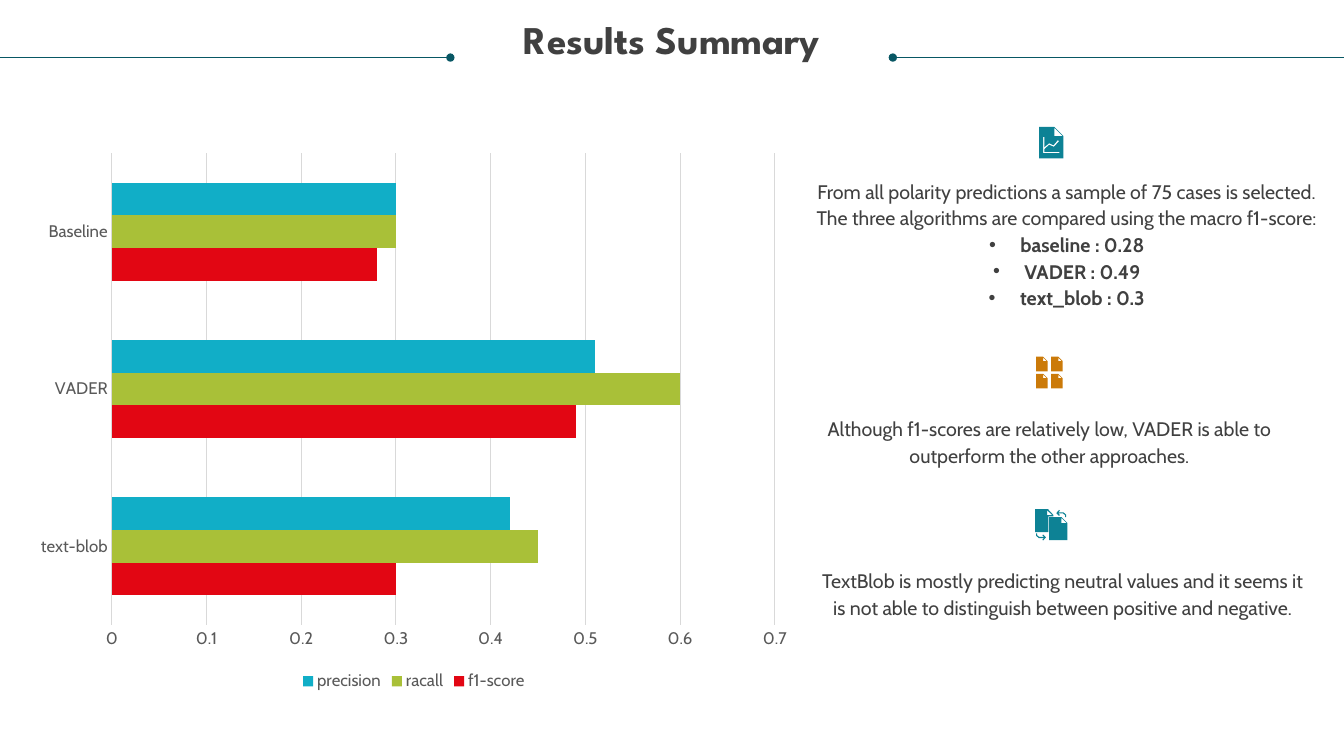
from lxml import etree
from pptx import Presentation
from pptx import util as u
from pptx.chart import data as chart_data
from pptx.dml.color import RGBColor
from pptx.enum import chart as chart_enum
from pptx.enum import shapes, text
from pptx.oxml import ns

TEAL, DARK_TEAL, ORANGE = "0D8295", "085764", "CB7A09"
TEXT_GREY, AXIS_GREY, GRID_GREY = "404040", "595959", "D9D9D9"


def color(hex_string):
    return RGBColor.from_string(hex_string)


def format_text(frame, font_name, size, bold=False):
    frame.word_wrap = True
    frame.auto_size = text.MSO_AUTO_SIZE.NONE
    frame.vertical_anchor = text.MSO_ANCHOR.TOP
    frame.margin_left = frame.margin_right = frame.margin_top = frame.margin_bottom = 0
    for paragraph in frame.paragraphs:
        paragraph.alignment = text.PP_ALIGN.CENTER
        paragraph.line_spacing = 0.9 if bold else u.Pt(19)
        paragraph.space_before = u.Pt(0)
        for run in paragraph.runs:
            run.font.name = font_name
            run.font.size = u.Pt(size)
            run.font.bold = bold
            run.font.color.rgb = color(TEXT_GREY)


presentation = Presentation()
presentation.slide_width = u.Cm(33.87)
presentation.slide_height = u.Cm(19.05)
slide = presentation.slides.add_slide(presentation.slide_layouts[1])

for edge, inner_end in [(33.87, 22.5), (0, 11.35)]:
    rule = slide.shapes.add_connector(
        shapes.MSO_CONNECTOR.STRAIGHT, u.Cm(edge), u.Cm(1.45), u.Cm(inner_end), u.Cm(1.45))
    rule.line.color.rgb = color(DARK_TEAL)
    rule.line.width = u.Pt(0.5)
    etree.SubElement(rule.line._get_or_add_ln(), ns.qn("a:tailEnd"), type="oval")
    etree.SubElement(rule._element.spPr, ns.qn("a:effectLst"))

title = slide.shapes.title
title.left, title.top, title.width, title.height = u.Cm(0.64), u.Cm(0.53), u.Cm(32.59), u.Cm(1.85)
title.text_frame.text = "Results Summary"
format_text(title.text_frame, "League Spartan", 28, bold=True)

scores = slide.placeholders[1]
scores.left, scores.top, scores.width, scores.height = u.Cm(20.55), u.Cm(4.45), u.Cm(12.67), u.Cm(3.33)
scores.text_frame.text = "\n".join([
    "From all polarity predictions a sample of 75 cases is selected. "
    "The three algorithms are compared using the macro f1-score:",
    "baseline : 0.28",
    "VADER : 0.49",
    "text_blob : 0.3",
])
format_text(scores.text_frame, "Cabin", 14)
introduction, *score_lines = scores.text_frame.paragraphs
introduction.space_before = u.Pt(6)
properties = introduction._p.get_or_add_pPr()
properties.set("marL", "0")
properties.set("indent", "0")
etree.SubElement(properties, ns.qn("a:buNone"))
for paragraph in score_lines:
    properties = paragraph._p.get_or_add_pPr()
    properties.set("marL", str(u.Cm(0.79)))
    properties.set("indent", str(-u.Cm(0.79)))
    etree.SubElement(properties, ns.qn("a:buFont"), typeface="Arial")
    etree.SubElement(properties, ns.qn("a:buChar"), char="•")
    paragraph.runs[0].font.bold = True

findings = [
    (20.52, 10.44, 11.86, "Although f1-scores are relatively low, VADER is able to "
                          "outperform the other approaches."),
    (20.6, 14.27, 12.37, "TextBlob is mostly predicting neutral values and it seems it "
                         "is not able to distinguish between positive and negative."),
]
for left, top, width, finding in findings:
    box = slide.shapes.add_textbox(u.Cm(left), u.Cm(top), u.Cm(width), u.Cm(1.3))
    box.text_frame.text = finding
    format_text(box.text_frame, "Cabin", 14)

trend_line = [(0.1, 0.25), (0.13, 0.25), (0.13, 0.51), (0.25, 0.41), (0.36, 0.46), (0.47, 0.33),
              (0.5, 0.36), (0.37, 0.5), (0.25, 0.45), (0.13, 0.56), (0.13, 0.63), (0.51, 0.63),
              (0.51, 0.66), (0.1, 0.66)]
back_page = [(0, 0), (0.32, 0), (0.46, 0.15), (0.46, 0.18), (0.33, 0.18), (0.33, 0.58), (0, 0.58)]
back_fold = [(0.3, 0.03), (0.3, 0.15), (0.43, 0.15)]
arrow = [(0, 0.08), (0.07, 0), (0.09, 0.02), (0.05, 0.06), (0.18, 0.06), (0.25, 0.12), (0.25, 0.18),
         (0.22, 0.18), (0.22, 0.13), (0.17, 0.09), (0.05, 0.09), (0.09, 0.13), (0.07, 0.15)]
turned_arrow = [(0.25 - x, 0.18 - y) for x, y in arrow]

icon_parts = [
    (26.09, 12.83, TEAL, [back_page, back_fold]),
    (26.62, 12.85, TEAL, [arrow]),
    (26.11, 13.44, TEAL, [turned_arrow]),
]
folded_pages = [(26.19, 3.2, 0.61, 0.79, 0.23, TEAL, [trend_line]),
                (26.44, 13.03, 0.46, 0.58, 0.15, TEAL, [])]
folded_pages += [(left, top, 0.29, 0.37, 0.11, ORANGE, [])
                 for top in (8.99, 9.42) for left in (26.11, 26.49)]
for left, top, width, height, fold, fill, details in folded_pages:
    page = [(0, 0), (width - fold, 0), (width, fold), (width, height), (0, height)]
    corner = [(width - fold, 0.02), (width - fold, fold), (width - 0.02, fold)]
    icon_parts.append((left, top, fill, [page, corner] + details))

for left, top, fill, contours in icon_parts:
    builder = None
    for contour in contours:
        start, *points = [(u.Cm(left + x), u.Cm(top + y)) for x, y in contour]
        if builder is None:
            builder = slide.shapes.build_freeform(*start)
        else:
            builder.move_to(*start)
        builder.add_line_segments(points, close=True)
    icon = builder.convert_to_shape()
    icon.shadow.inherit = False
    icon.fill.solid()
    icon.fill.fore_color.rgb = color(fill)
    icon.line.fill.background()

series_rows = [
    ("f1-score", (0.3, 0.49, 0.28), "E20613"),
    ("racall", (0.45, 0.6, 0.3), "A9C038"),
    ("precision", (0.42, 0.51, 0.3), "11AEC7"),
]
results = chart_data.CategoryChartData()
results.categories = ["text-blob", "VADER", "Baseline"]
for name, values, _ in series_rows:
    results.add_series(name, values)
chart = slide.shapes.add_chart(
    chart_enum.XL_CHART_TYPE.BAR_CLUSTERED,
    u.Cm(0.64), u.Cm(3.58), u.Cm(19.58), u.Cm(13.94), results).chart
chart.has_title = False
chart.font.name = "Cabin"
chart.font.size = u.Pt(12)
chart.font.color.rgb = color(AXIS_GREY)
chart.has_legend = True
chart.legend.position = chart_enum.XL_LEGEND_POSITION.BOTTOM
chart.legend.include_in_layout = False

plot = chart.plots[0]
plot.gap_width = 182
plot.vary_by_categories = False
for series, (_, _, fill) in zip(plot.series, series_rows):
    series.format.fill.solid()
    series.format.fill.fore_color.rgb = color(fill)

for axis in (chart.category_axis, chart.value_axis):
    axis.major_tick_mark = axis.minor_tick_mark = chart_enum.XL_TICK_MARK.NONE
chart.value_axis.has_major_gridlines = True
chart.value_axis.format.line.fill.background()
for line in (chart.category_axis.format.line, chart.value_axis.major_gridlines.format.line):
    line.color.rgb = color(GRID_GREY)
    line.width = u.Pt(0.75)

presentation.save("out.pptx")
